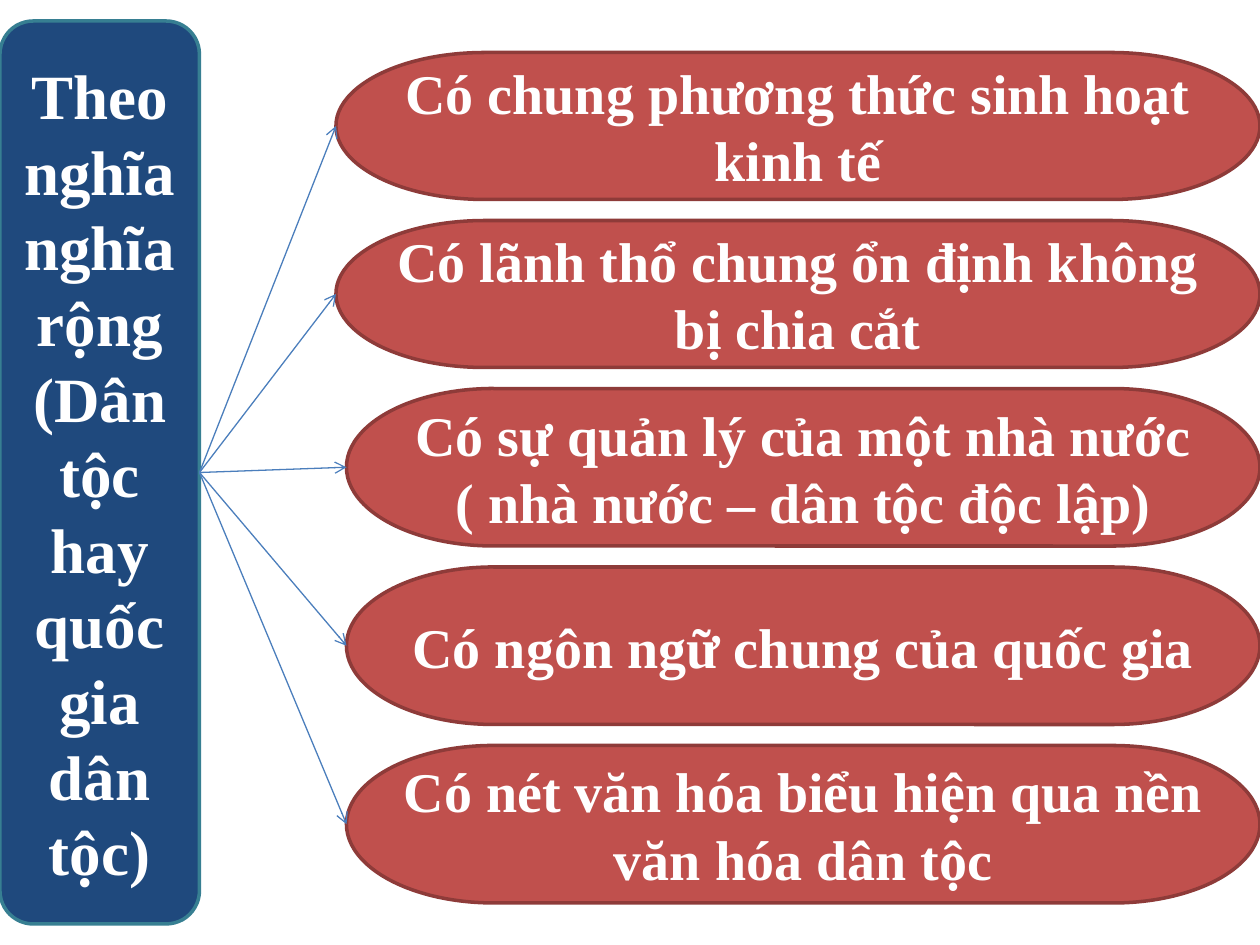
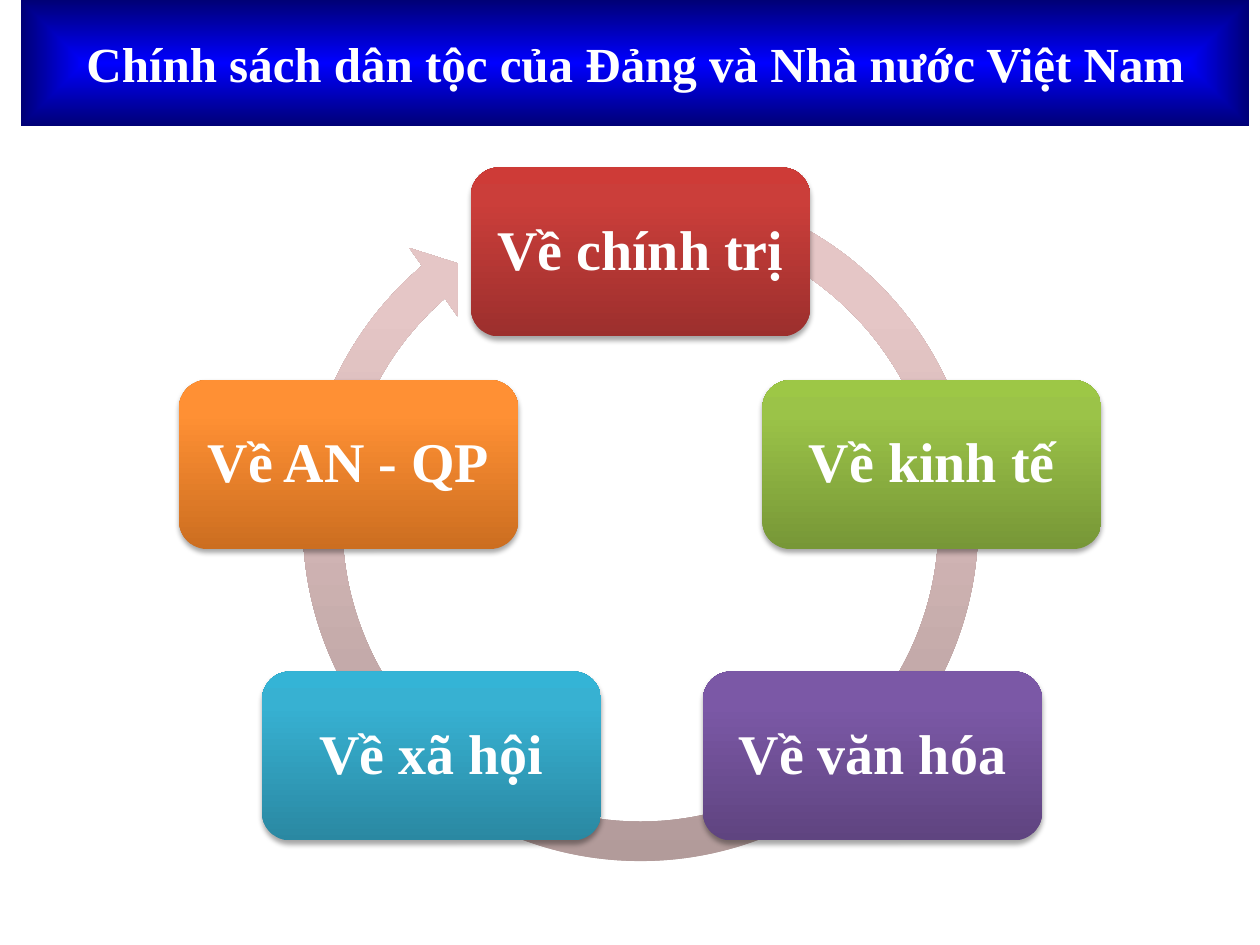
from pptx import Presentation
from pptx.dml.color import RGBColor
from pptx.enum.shapes import MSO_CONNECTOR, MSO_SHAPE
from pptx.enum.text import MSO_ANCHOR, PP_ALIGN
from pptx.oxml.ns import qn
from pptx.util import Inches, Pt
from lxml.etree import SubElement

# Grid: 120 columns by 90 rows on a 10 by 7.5 inch slide
COLUMNS, ROWS = 120, 90
CELL = Inches(10) / COLUMNS

FONT = "Times New Roman"
WHITE = "FFFFFF"
NAVY, TEAL = "1F497D", "377F92"
BRICK, DARK_BRICK = "C0504D", "8E3B39"
ARROW_BLUE = "4B7EBC"
BANNER_STOPS = ((0, "0000FF"), (100, "000076"))
RING_STOPS = ((0, "B09998"), (80, "E5C6C6"), (100, "E6C7C6"))

BROAD_MEANING = "Theo nghĩa nghĩa rộng (Dân tộc hay quốc gia dân tộc)"

# Text, left column, height in rows
TRAITS = (
    ("Có chung phương thức sinh hoạt kinh tế", 32, 14),
    ("Có lãnh thổ chung ổn định không bị chia cắt", 32, 14),
    ("Có sự quản lý của một nhà nước ( nhà nước – dân tộc độc lập)", 33, 15),
    ("Có ngôn ngữ chung của quốc gia", 33, 15),
    ("Có nét văn hóa biểu hiện qua nền văn hóa dân tộc", 33, 15),
)
FIRST_TRAIT_ROW, TRAIT_GAP = 5, 2

# Text, centre column, centre row, colours from bottom to top
POLICIES = (
    ("Về chính trị", 61, 24, ("9C2F2D", "CB3E3A", "CE3B37")),
    ("Về kinh tế", 88.75, 44.25, ("779737", "9BC348", "9DC746")),
    ("Về văn hóa", 83.1, 72, ("5F4480", "7B58A6", "7C57A8")),
    ("Về xã hội", 41.1, 72, ("2A88A2", "37B1D2", "34B4D6")),
    ("Về AN - QP", 33.2, 44.25, ("CC6E20", "FF9034", "FF9136")),
)
CARD_WIDTH, CARD_HEIGHT = 32.3, 16.1
RING_CENTRE, RING_SIZE = (61, 49.85), 68.5
RING_ADJUSTMENTS = (0.055, 3.307, 137.621, 173.944, 0.058)


def cells(count):
    return round(count * CELL)


def color(hex_text):
    return RGBColor.from_string(hex_text)


def add_block(page, kind, left, top, width, height, outline=None):
    """Add a shape without shadow, placed in grid cells."""
    block = page.shapes.add_shape(kind, *map(cells, (left, top, width, height)))
    block.shadow.inherit = False
    if outline:
        block.line.color.rgb = color(outline)
        block.line.width = Pt(2)
    else:
        block.line.fill.background()
    return block


def fill_solid(block, hex_text):
    block.fill.solid()
    block.fill.fore_color.rgb = color(hex_text)


def fill_gradient(block, stops, from_centre=False):
    """Blend the stops upwards, or outwards from the centre."""
    block.fill.gradient()
    gradient = block._element.spPr.find(qn("a:gradFill"))
    for child in list(gradient):
        gradient.remove(child)
    stop_list = SubElement(gradient, qn("a:gsLst"))
    for position, hex_text in stops:
        stop = SubElement(stop_list, qn("a:gs"), pos=str(position * 1000))
        SubElement(stop, qn("a:srgbClr"), val=hex_text)
    if from_centre:
        shading = SubElement(gradient, qn("a:path"), path="shape")
        SubElement(shading, qn("a:fillToRect"),
                   {side: "50000" for side in "ltrb"})
    else:
        SubElement(gradient, qn("a:lin"), ang="16200000", scaled="0")


def write(block, text, size, spacing=None, inset=0.1):
    """Write one centred bold paragraph."""
    frame = block.text_frame
    frame.word_wrap = True
    frame.vertical_anchor = MSO_ANCHOR.MIDDLE
    frame.margin_left = frame.margin_right = Inches(inset)
    para = frame.paragraphs[0]
    para.alignment = PP_ALIGN.CENTER
    if spacing:
        para.line_spacing = spacing
    span = para.add_run()
    span.text = text
    span.font.name = FONT
    span.font.size = Pt(size)
    span.font.bold = True
    span.font.color.rgb = color(WHITE)


def drop_shadow(block):
    effects = block._element.spPr.find(qn("a:effectLst"))
    shadow = SubElement(effects, qn("a:outerShdw"), blurRad=str(Pt(3.1)),
                        dist=str(Pt(1.8)), dir="5400000", rotWithShape="0")
    black = SubElement(shadow, qn("a:srgbClr"), val="000000")
    SubElement(black, qn("a:alpha"), val="35000")


def add_arrow(page, source, target):
    """Join the right side of source to the left side of target."""
    arrow = page.shapes.add_connector(MSO_CONNECTOR.STRAIGHT, 0, 0, 0, 0)
    arrow.begin_connect(source, 3)
    arrow.end_connect(target, 1)
    arrow.line.color.rgb = color(ARROW_BLUE)
    arrow.line.width = Pt(0.75)
    SubElement(arrow.line._get_or_add_ln(), qn("a:tailEnd"), type="arrow")
    SubElement(arrow._element.spPr, qn("a:effectLst"))


def add_trait(page, text, left, top, height):
    trait = add_block(page, MSO_SHAPE.FLOWCHART_TERMINATOR, left, top,
                      COLUMNS - left, height, DARK_BRICK)
    fill_solid(trait, BRICK)
    write(trait, text, 32)
    return trait


def add_card(page, text, column, row, shades):
    card = add_block(page, MSO_SHAPE.ROUNDED_RECTANGLE,
                     column - CARD_WIDTH / 2, row - CARD_HEIGHT / 2,
                     CARD_WIDTH, CARD_HEIGHT)
    fill_gradient(card, zip((0, 80, 100), shades))
    drop_shadow(card)
    write(card, text, 32, spacing=0.9, inset=0.13)


def add_ring(page):
    left, top = (centre - RING_SIZE / 2 for centre in RING_CENTRE)
    ring = add_block(page, MSO_SHAPE.CIRCULAR_ARROW, left, top,
                     RING_SIZE, RING_SIZE)
    for index, value in enumerate(RING_ADJUSTMENTS):
        ring.adjustments[index] = value
    fill_gradient(ring, RING_STOPS)


def build_meaning(page):
    side = add_block(page, MSO_SHAPE.ROUNDED_RECTANGLE, 0, 2, 19, 86, TEAL)
    fill_solid(side, NAVY)
    write(side, BROAD_MEANING, 36)

    # Stack of traits with equal gaps
    traits = []
    row = FIRST_TRAIT_ROW
    for text, left, height in TRAITS:
        traits.append(add_trait(page, text, left, row, height))
        row += height + TRAIT_GAP
    for trait in traits:
        add_arrow(page, side, trait)


def build_policies(page):
    banner = add_block(page, MSO_SHAPE.RECTANGLE, 2, 0, 117, 12)
    fill_gradient(banner, BANNER_STOPS, from_centre=True)
    write(banner, "Chính sách dân tộc của Đảng và Nhà nước Việt Nam", 28)

    # Cards on the ring
    add_ring(page)
    for policy in POLICIES:
        add_card(page, *policy)


def main():
    deck = Presentation()
    deck.slide_width = cells(COLUMNS)
    deck.slide_height = cells(ROWS)
    for build in (build_meaning, build_policies):
        build(deck.slides.add_slide(deck.slide_layouts[6]))
    deck.save("out.pptx")


if __name__ == "__main__":
    main()
